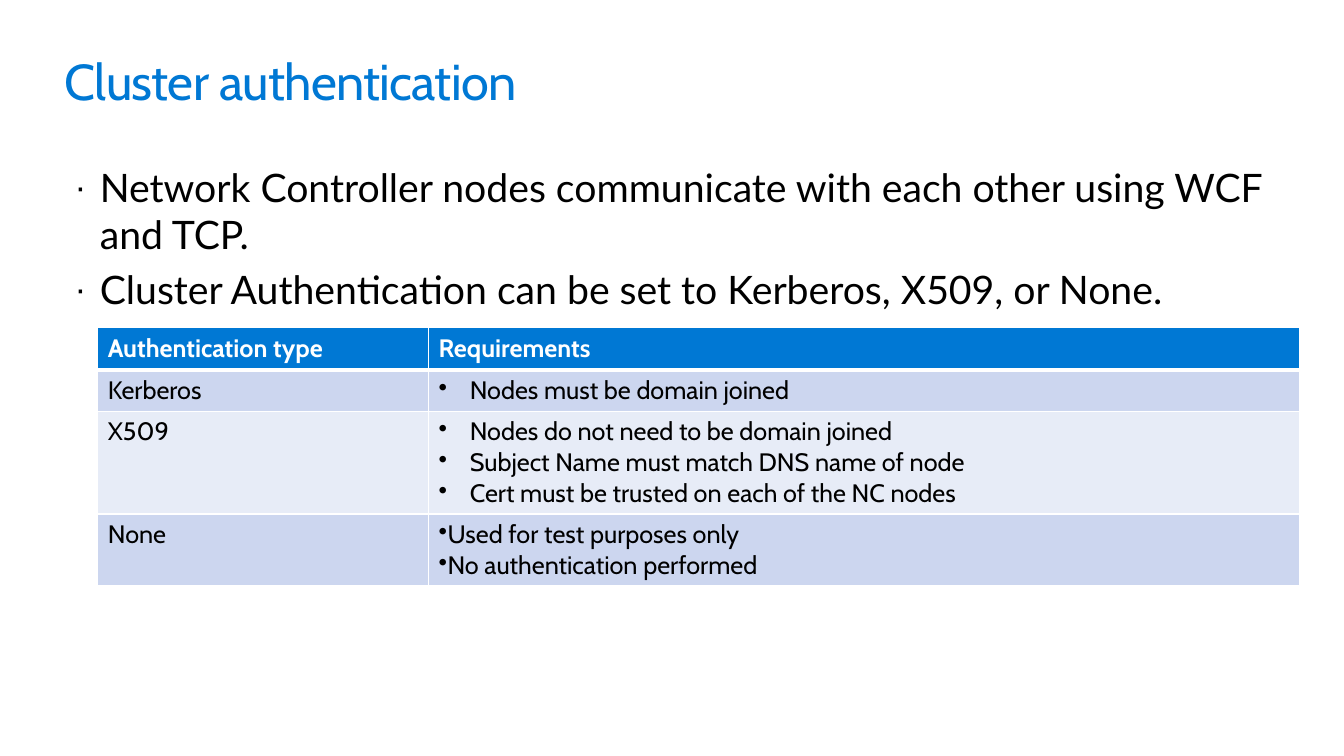
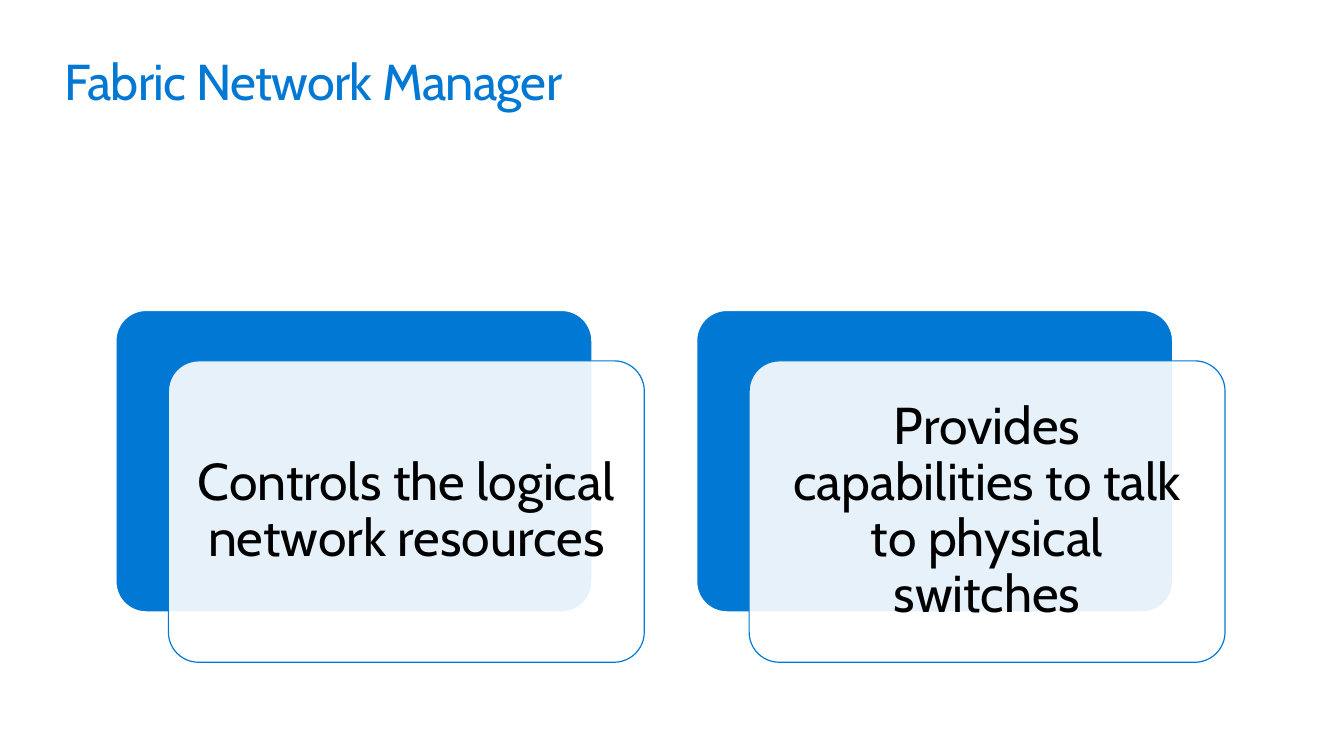
from dataclasses import dataclass
from typing import Optional

from lxml import etree
from pptx import Presentation
from pptx.dml.color import RGBColor
from pptx.enum import shapes, text
from pptx.oxml import ns
from pptx.util import Inches, Pt


@dataclass(frozen=True)
class Theme:
    blue: str = "0078D4"
    white: str = "FFFFFF"
    black: str = "000000"
    dark_row: str = "CCD6EF"
    light_row: str = "E7ECF7"
    font: str = "Cabin"
    body_font: str = "Lato"
    title_size: float = 36
    body_size: float = 28
    table_size: float = 18
    card_size: float = 37


@dataclass(frozen=True)
class AuthenticationRow:
    name: str
    requirements: tuple[str, ...]
    fill: str
    color: str = "000000"
    height: float = 0.41
    bold: bool = False
    margin: Optional[float] = 0.31  # None means no bullets


@dataclass(frozen=True)
class Card:
    column: int
    caption: str


THEME = Theme()

BULLETS = (
    "Network Controller nodes communicate with each other using WCF and TCP.",
    "Cluster Authentication can be set to Kerberos, X509, or None.",
)
ROWS = (
    AuthenticationRow("Authentication type", ("Requirements",), THEME.blue,
                      color=THEME.white, height=0.42, bold=True, margin=None),
    AuthenticationRow("Kerberos", ("Nodes must be domain joined",), THEME.dark_row),
    AuthenticationRow("X509", (
        "Nodes do not need to be domain joined",
        "Subject Name must match DNS name of node",
        "Cert must be trusted on each of the NC nodes",
    ), THEME.light_row, height=1.02),
    AuthenticationRow("None", (
        "Used for test purposes only",
        "No authentication performed",
    ), THEME.dark_row, height=0.71, margin=0),
)
CARDS = (
    Card(0, "Controls the logical network resources"),
    Card(1, "Provides capabilities to talk to physical switches"),
)


def rgb(color: str) -> RGBColor:
    return RGBColor.from_string(color)


def place(box, left: float, top: float, width: float, height: float) -> None:
    box.left, box.top = Inches(left), Inches(top)
    box.width, box.height = Inches(width), Inches(height)


def add_bullet(para, mark: str, margin: float, indent: float, percent: int) -> None:
    properties = para._p.get_or_add_pPr()
    properties.set("marL", str(Inches(margin)))
    properties.set("indent", str(Inches(indent)))
    size = etree.SubElement(properties, ns.qn("a:buSzPct"))
    size.set("val", str(percent * 1000))
    etree.SubElement(properties, ns.qn("a:buChar")).set("char", mark)


def write(para, words: str, *, size: float, color: str = THEME.black,
          font: str = THEME.font, bold: bool = False, align=text.PP_ALIGN.LEFT,
          line_spacing: Optional[float] = None, space_before: float = 0,
          tracking: Optional[float] = None) -> None:
    """Put words into a paragraph with the given format."""
    para.alignment = align
    para.space_before = Pt(space_before)
    if line_spacing:
        para.line_spacing = line_spacing
    span = para.add_run()
    span.text = words
    span.font.name = font
    span.font.size = Pt(size)
    span.font.bold = bold
    span.font.color.rgb = rgb(color)
    if tracking is not None:
        span._r.get_or_add_rPr().set("spc", str(round(tracking * 100)))


def paragraphs(frame, count: int) -> list:
    """Return count paragraphs, the first being the one the frame has."""
    return [frame.paragraphs[0]] + [frame.add_paragraph() for _ in range(count - 1)]


def set_margins(frame, margin: float) -> None:
    frame.margin_left = frame.margin_right = Inches(margin)
    frame.margin_top = frame.margin_bottom = Inches(margin)


def add_page(deck, layout: int, title: str):
    page = deck.slides.add_slide(deck.slide_layouts[layout])
    box = page.shapes.title
    place(box, 0.64, 0.5, 12.05, 0.61)
    frame = box.text_frame
    set_margins(frame, 0)
    frame.word_wrap = True
    frame.auto_size = text.MSO_AUTO_SIZE.NONE
    frame.vertical_anchor = text.MSO_ANCHOR.TOP
    write(frame.paragraphs[0], title, size=THEME.title_size, color=THEME.blue, tracking=-0.5)
    return page


def set_borders(cell, top: float, bottom: float) -> None:
    """Draw white cell borders; the side ones are one point wide."""
    properties = cell._tc.get_or_add_tcPr()
    widths = {"a:lnL": 1, "a:lnR": 1, "a:lnT": top, "a:lnB": bottom}
    for position, (tag, width) in enumerate(widths.items()):
        line = etree.Element(ns.qn(tag), w=str(Pt(width)))
        fill = etree.SubElement(line, ns.qn("a:solidFill"))
        etree.SubElement(fill, ns.qn("a:srgbClr")).set("val", THEME.white)
        properties.insert(position, line)


def add_authentication_table(page) -> None:
    frame = page.shapes.add_table(len(ROWS), 2, Inches(0.97), Inches(3.25),
                                  Inches(11.92), Inches(sum(row.height for row in ROWS)))
    table = frame.table
    for column, width in zip(table.columns, (3.28, 8.64)):
        column.width = Inches(width)
    for index, row in enumerate(ROWS):
        table.rows[index].height = Inches(row.height)
        for column, lines in enumerate(((row.name,), row.requirements)):
            cell = table.cell(index, column)
            cell.fill.solid()
            cell.fill.fore_color.rgb = rgb(row.fill)
            set_borders(cell, top=3 if index == 1 else 1, bottom=3 if index == 0 else 1)
            for para, words in zip(paragraphs(cell.text_frame, len(lines)), lines):
                if column == 1 and row.margin is not None:
                    add_bullet(para, "•", row.margin, -0.31, 100)
                write(para, words, size=THEME.table_size, color=row.color, bold=row.bold)


def add_authentication_page(deck) -> None:
    page = add_page(deck, 1, "Cluster authentication")
    body = page.placeholders[1]
    place(body, 0.64, 1.57, 12.05, 1.76)
    frame = body.text_frame
    frame.word_wrap = True
    frame.auto_size = text.MSO_AUTO_SIZE.NONE
    for index, (para, words) in enumerate(zip(paragraphs(frame, len(BULLETS)), BULLETS)):
        add_bullet(para, "·", 0.25, -0.25, 90)
        write(para, words, size=THEME.body_size, font=THEME.body_font,
              space_before=0.2 * THEME.body_size if index else 0)
    add_authentication_table(page)


def add_panel(group, left: float, top: float, *, fill: str, line: str,
              opacity: int = 100):
    panel = group.shapes.add_shape(shapes.MSO_SHAPE.ROUNDED_RECTANGLE, Inches(left),
                                   Inches(top), Inches(4.72), Inches(2.99))
    panel.adjustments[0] = 0.1
    panel.shadow.inherit = False
    panel.fill.solid()
    panel.fill.fore_color.rgb = rgb(fill)
    panel.line.color.rgb = rgb(line)
    panel.line.width = Pt(0.85)
    if opacity < 100:
        color = panel._element.spPr.find(ns.qn("a:solidFill"))[0]
        etree.SubElement(color, ns.qn("a:alpha")).set("val", str(opacity * 1000))
    return panel


def add_card(group, card: Card) -> None:
    """Draw a blue panel with a translucent captioned one offset over it."""
    left, top = 1.15 + 5.76 * card.column, 3.08
    add_panel(group, left, top, fill=THEME.blue, line=THEME.white)
    front = add_panel(group, left + 0.52, top + 0.5, fill=THEME.white,
                      line=THEME.blue, opacity=90)
    frame = front.text_frame
    frame.word_wrap = True
    frame.vertical_anchor = text.MSO_ANCHOR.MIDDLE
    set_margins(frame, 0.15)
    write(frame.paragraphs[0], card.caption, size=THEME.card_size,
          align=text.PP_ALIGN.CENTER, line_spacing=0.9)


def add_manager_page(deck) -> None:
    page = add_page(deck, 5, "Fabric Network Manager")
    group = page.shapes.add_group_shape()
    for card in CARDS:
        add_card(group, card)


def main() -> None:
    deck = Presentation()
    deck.slide_width, deck.slide_height = Inches(13.33), Inches(7.5)
    add_authentication_page(deck)
    add_manager_page(deck)
    deck.save("out.pptx")


if __name__ == "__main__":
    main()
